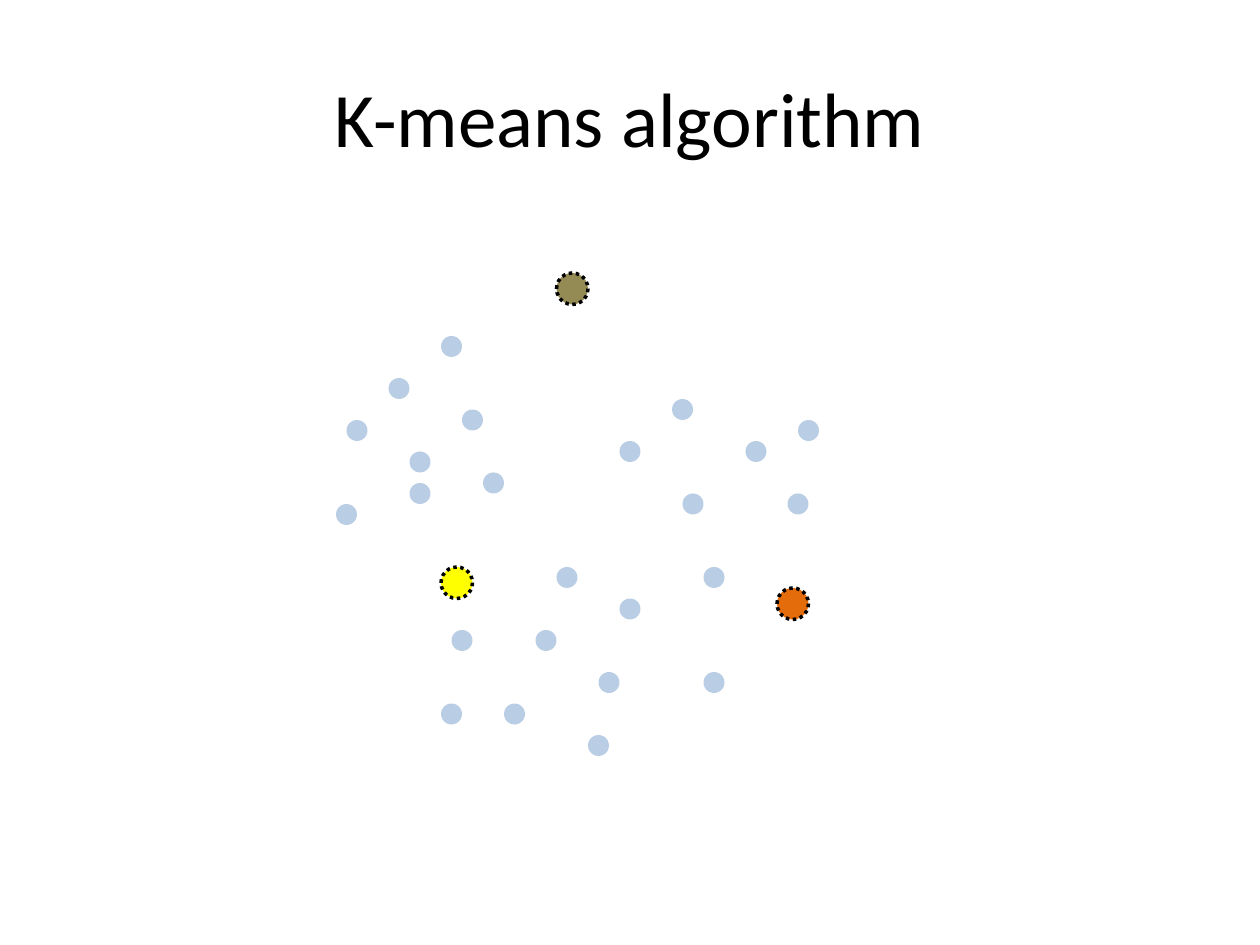
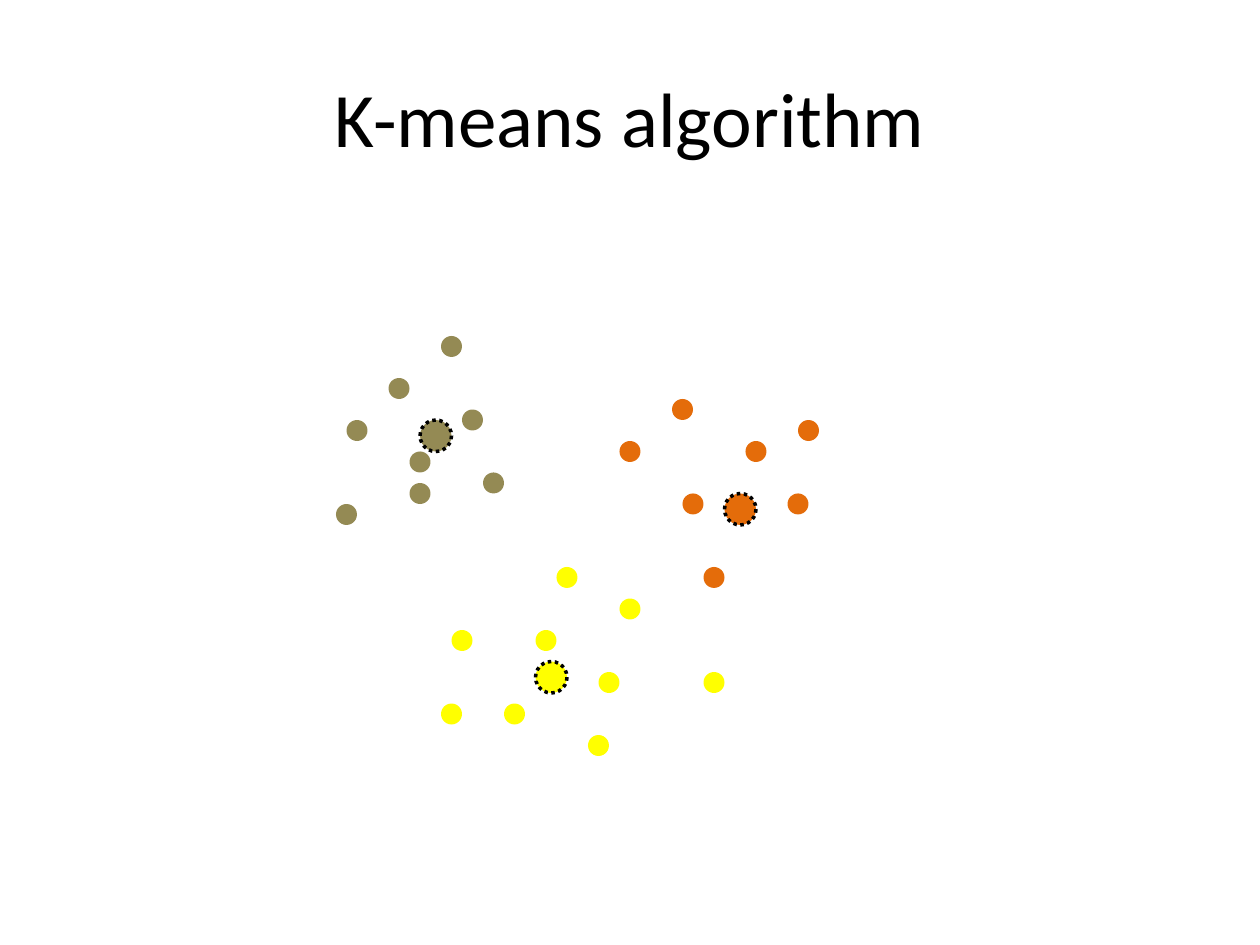
from pptx import Presentation
from pptx.dml.color import RGBColor
from pptx.enum.dml import MSO_LINE
from pptx.enum.shapes import MSO_SHAPE as Shape
from pptx.enum.text import MSO_ANCHOR as Anchor, PP_ALIGN as Align
from pptx.util import Inches, Pt

# Slide size and grid: 120 columns by 90 rows
WIDTH, HEIGHT = Inches(10), Inches(7.5)
COLUMNS, ROWS = 120, 90

BLACK = RGBColor(0x00, 0x00, 0x00)
PALE_BLUE = RGBColor(0xB9, 0xCD, 0xE5)
OLIVE = RGBColor(0x94, 0x8A, 0x54)
ORANGE = RGBColor(0xE4, 0x6C, 0x0A)
YELLOW = RGBColor(0xFF, 0xFF, 0x00)

# Data points as (column, row) of the top left corner, by final cluster
CLUSTERS = {
    OLIVE: [(33, 40), (32, 48), (39, 43), (39, 46), (44, 39), (46, 45),
            (42, 32), (37, 36)],
    ORANGE: [(59, 42), (75, 47), (65, 47), (67, 54), (64, 38), (76, 40),
             (71, 42)],
    YELLOW: [(56, 70), (42, 67), (48, 67), (43, 60), (53, 54), (51, 60),
             (59, 57), (57, 64), (67, 64)],
}
START_CENTROIDS = {OLIVE: (53, 26), ORANGE: (74, 56), YELLOW: (42, 54)}
FINAL_CENTROIDS = {OLIVE: (40, 40), ORANGE: (69, 47), YELLOW: (51, 63)}


def write(frame, text, *, size, color, font="Calibri", align=Align.CENTER,
          anchor=Anchor.MIDDLE):
    frame.word_wrap = True
    frame.vertical_anchor = anchor
    paragraph = frame.paragraphs[0]
    paragraph.alignment = align
    run = paragraph.add_run()
    run.text = text
    run.font.name, run.font.size = font, Pt(size)
    run.font.color.rgb = color


class ClusterDeck:
    """Holds the style, the presentation and the current slide."""

    point_size = 2
    centroid_size = 3
    title_size = 44

    def __init__(self):
        self.deck = Presentation()
        self.deck.slide_width, self.deck.slide_height = WIDTH, HEIGHT
        self.slide = None

    def box(self, column, row, columns, rows):
        across, down = WIDTH / COLUMNS, HEIGHT / ROWS
        return (round(column * across), round(row * down),
                round(columns * across), round(rows * down))

    def new_slide(self, title):
        self.slide = self.deck.slides.add_slide(self.deck.slide_layouts[6])
        heading = self.slide.shapes.add_textbox(*self.box(6, 3.6, 108, 15))
        write(heading.text_frame, title, size=self.title_size, color=BLACK)

    def circle(self, shapes, place, size, color):
        circle = shapes.add_shape(Shape.OVAL, *self.box(*place, size, size))
        circle.shadow.inherit = False
        circle.fill.solid()
        circle.fill.fore_color.rgb = color
        circle.line.fill.background()
        return circle

    def points(self, places, color):
        cloud = self.slide.shapes.add_group_shape()
        for place in places:
            self.circle(cloud.shapes, place, self.point_size, color)

    def centroid(self, place, color):
        marker = self.circle(self.slide.shapes, place, self.centroid_size, color)
        marker.line.color.rgb = BLACK
        marker.line.width = Pt(2)
        marker.line.dash_style = MSO_LINE.ROUND_DOT

    def step(self, centroids, assigned):
        self.new_slide("K-means algorithm")
        for color, places in CLUSTERS.items():
            self.points(places, color if assigned else PALE_BLUE)
        for color, place in centroids.items():
            self.centroid(place, color)


def main():
    kmeans = ClusterDeck()
    # Starting centroids, points not yet assigned
    kmeans.step(START_CENTROIDS, assigned=False)
    # Final centroids, points coloured by cluster
    kmeans.step(FINAL_CENTROIDS, assigned=True)
    kmeans.deck.save("out.pptx")


if __name__ == "__main__":
    main()
